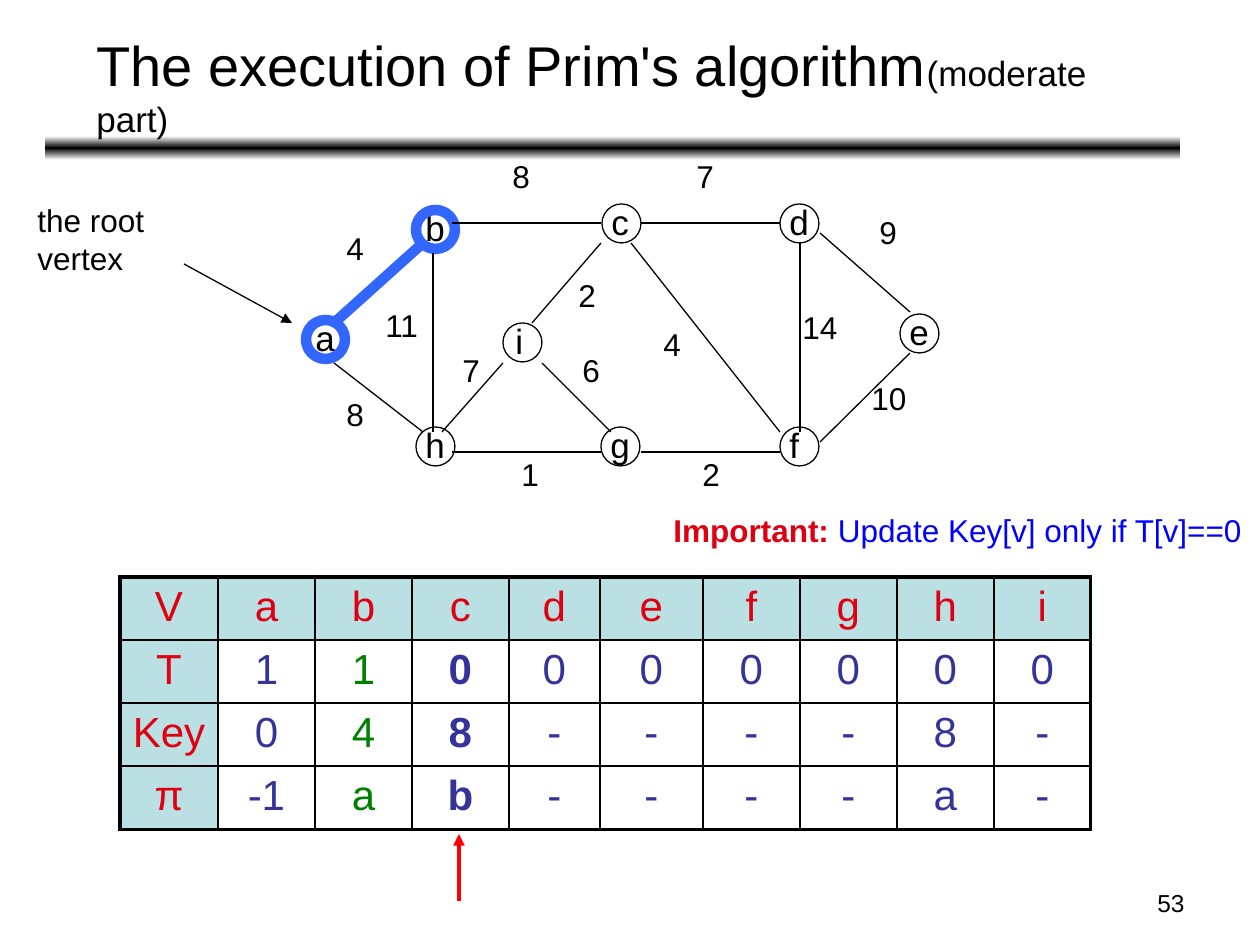
from lxml.etree import SubElement
from pptx import Presentation
from pptx.dml.color import RGBColor
from pptx.enum.shapes import MSO_CONNECTOR as CONN, MSO_SHAPE as SHAPE
from pptx.enum.text import PP_ALIGN as ALIGN
from pptx.oxml.ns import qn
from pptx.util import Emu, Pt

BLACK, BLUE, RED = "000000", "3366FF", "DD0111"
HEAD_FILL, INDIGO, GREEN = "BBE0E3", "333399", "008000"

# Text boxes: left, top, width, height, alignment, runs (text, size, colour, bold)
TEXTS = [
    (903, 882, 294, 44, ALIGN.RIGHT, [("53", 14, BLACK, False)]),
    (84, 24, 1081, 79, ALIGN.LEFT, [("The execution of Prim's algorithm", 32, BLACK, False),
                                    ("(moderate part)", 20, BLACK, False)]),
    (25, 195, 169, 113, ALIGN.LEFT, [("the root vertex", 18, BLACK, False)]),
    (661, 505, 598, 50, ALIGN.LEFT, [("Important: ", 18, RED, True),
                                     ("Update Key[v] only if T[v]==0", 18, "0000FF", False)]),
]

# Graph: circle corner of each node, edges, weights
NODE = 39
NODES = {"a": (306, 320), "b": (416, 210), "h": (416, 427), "c": (602, 204), "d": (780, 204),
         "e": (900, 314), "f": (780, 427), "g": (601, 427), "i": (503, 323)}
IN_TREE = {"a", "b"}
TREE_EDGE = (334, 323, 423, 243)
EDGES = [
    (334, 363, 423, 432), (433, 253, 433, 432), (452, 223, 601, 223), (452, 452, 601, 452),
    (641, 452, 780, 452), (631, 243, 780, 432), (641, 223, 780, 223), (800, 243, 800, 432),
    (820, 233, 910, 312), (820, 442, 910, 353), (542, 363, 611, 432), (442, 432, 503, 363),
    (532, 323, 601, 243),
]
WEIGHTS = [
    ("4", 334, 223), ("8", 500, 151), ("7", 684, 151), ("9", 867, 207), ("10", 859, 373),
    ("14", 790, 302), ("4", 651, 319), ("2", 566, 270), ("2", 690, 449), ("6", 570, 345),
    ("1", 509, 449), ("7", 450, 345), ("11", 373, 300), ("8", 334, 389),
]

# Table
ROWS = ["V a b c d e f g h i".split(),
        "T 1 1 0 0 0 0 0 0 0".split(),
        "Key 0 4 8 - - - - 8 -".split(),
        "π -1 a b - - - - a -".split()]
COLS = [98, 97, 97, 97, 91, 103, 97, 97, 97, 97]
ROW_H = 63
DONE_COL, CURRENT_COL = 2, 3

prs = Presentation()


def px(n):
    return Emu(round(n * 914400 / 126))


prs.slide_width, prs.slide_height = px(1260), px(945)
slide = prs.slides.add_slide(prs.slide_layouts[6])
shapes = slide.shapes


def rgb(hex_):
    return RGBColor.from_string(hex_)


def add_run(p, text, size, color, bold=False):
    r = p.add_run()
    r.text = text
    r.font.name, r.font.size, r.font.bold = "Arial", Pt(size), bold
    r.font.color.rgb = rgb(color)


def text_box(x, y, w, h, align, runs, wrap=True):
    tf = shapes.add_textbox(px(x), px(y), px(w), px(h)).text_frame
    tf.word_wrap = wrap
    p = tf.paragraphs[0]
    p.alignment = align
    for run in runs:
        add_run(p, *run)


def line(x1, y1, x2, y2, color=BLACK, width=0.75, arrow=False):
    c = shapes.add_connector(CONN.STRAIGHT, px(x1), px(y1), px(x2), px(y2))
    c.line.color.rgb, c.line.width = rgb(color), Pt(width)
    if arrow:
        SubElement(c.line._get_or_add_ln(), qn("a:tailEnd"), type="triangle")
    SubElement(c._element.spPr, qn("a:effectLst"))


def border(cell, side, width):
    ln = SubElement(cell._tc.get_or_add_tcPr(), qn("a:ln" + side), w=str(Pt(width)))
    fill = SubElement(ln, qn("a:solidFill"))
    SubElement(fill, qn("a:srgbClr"), val=BLACK)


# Title rule, fading to white above and below
bar = shapes.add_shape(SHAPE.ROUNDED_RECTANGLE, px(45), px(136), px(1135), px(24))
bar.shadow.inherit = False
bar.line.fill.background()
bar.fill.gradient()
bar.fill.gradient_angle = 90
stops = bar._element.spPr.find(qn("a:gradFill")).find(qn("a:gsLst"))
for stop in list(stops):
    stops.remove(stop)
for pos, color in ((0, "FFFFFF"), (50, BLACK), (100, "FFFFFF")):
    gs = SubElement(stops, qn("a:gs"), pos=str(pos * 1000))
    SubElement(gs, qn("a:srgbClr"), val=color)

# Texts and the pointer to the root
for item in TEXTS:
    text_box(*item)
line(184, 264, 292, 323, arrow=True)

# Table of T, Key and parent
table = shapes.add_table(len(ROWS), len(COLS), px(120), px(577), px(sum(COLS)),
                         px(ROW_H * len(ROWS))).table
table.first_row = table.horz_banding = False
for col, width in zip(table.columns, COLS):
    col.width = px(width)
last_row, last_col = len(ROWS) - 1, len(COLS) - 1
for i, row in enumerate(ROWS):
    table.rows[i].height = px(ROW_H)
    for j, text in enumerate(row):
        cell = table.cell(i, j)
        outer = {"L": j == 0, "R": j == last_col, "T": i == 0, "B": i == last_row}
        for side, thick in outer.items():
            border(cell, side, 2.25 if thick else 1)
        header = i == 0 or j == 0
        if header:
            cell.fill.solid()
            cell.fill.fore_color.rgb = rgb(HEAD_FILL)
        else:
            cell.fill.background()
        color = RED if header else GREEN if j == DONE_COL else INDIGO
        p = cell.text_frame.paragraphs[0]
        p.alignment = ALIGN.CENTER
        add_run(p, text, 24, color, not header and j == CURRENT_COL)

# Graph nodes
for name, (x, y) in NODES.items():
    text_box(x - (0 if name == "i" else 3), y - 10, 45, 54, ALIGN.LEFT,
             [(name, 20, BLACK, False)], wrap=False)
    sp = shapes.add_shape(SHAPE.OVAL, px(x), px(y), px(NODE), px(NODE))
    sp.shadow.inherit = False
    sp.fill.background()
    sp.line.color.rgb = rgb(BLUE if name in IN_TREE else BLACK)
    sp.line.width = Pt(6 if name in IN_TREE else 0.75)

# Graph edges and weights
line(*TREE_EDGE, color=BLUE, width=6)
for edge in EDGES:
    line(*edge)
for text, x, y in WEIGHTS:
    text_box(x, y, 26 + 17 * len(text), 50, ALIGN.LEFT, [(text, 18, BLACK, False)], wrap=False)

# Arrow under the current column
line(459, 901, 459, 834, color="FF0000", width=2.25, arrow=True)

prs.save("out.pptx")
